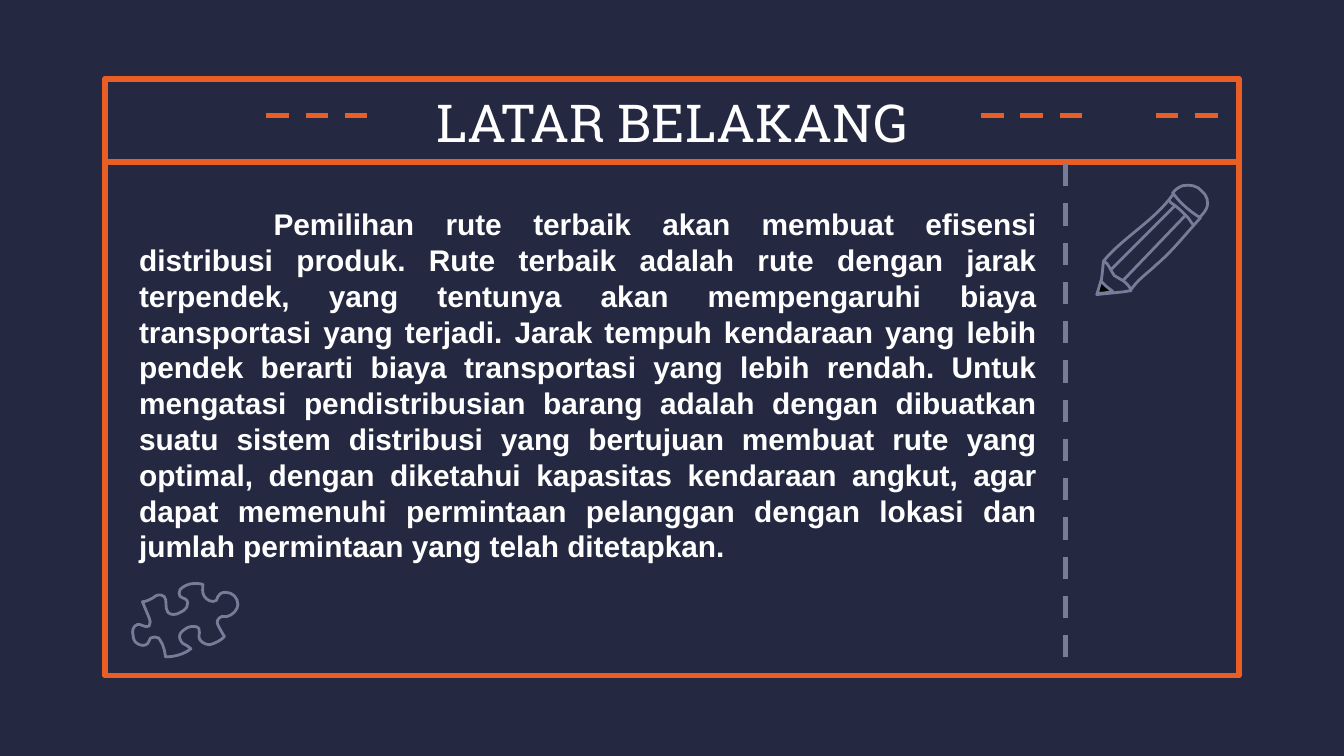
from dataclasses import dataclass

from lxml.etree import Element, SubElement
from pptx import Presentation
from pptx.dml.color import RGBColor
from pptx.enum.dml import MSO_LINE
from pptx.enum.shapes import MSO_CONNECTOR, MSO_SHAPE
from pptx.enum.text import MSO_ANCHOR, PP_ALIGN
from pptx.oxml.ns import qn
from pptx.util import Cm, Pt


@dataclass(frozen=True)
class Theme:
    background: RGBColor = RGBColor(0x24, 0x28, 0x41)
    accent: RGBColor = RGBColor(0xE9, 0x5E, 0x24)
    muted: RGBColor = RGBColor(0x77, 0x7D, 0x99)
    text: RGBColor = RGBColor(0xFF, 0xFF, 0xFF)
    lead: RGBColor = RGBColor(0, 0, 0)
    title_font: str = "Roboto Slab"
    body_font: str = "Arial"
    title_size: Pt = Pt(28)
    body_size: Pt = Pt(16)
    rule_width: Pt = Pt(3)
    icon_width: Pt = Pt(1.5)


ICON_UNIT = Cm(2.54) / 100  # icon outlines are drawn on this grid


def bend(outline, start, segments):
    """Turn the straight segments that have control points into cubic curves."""
    anchors = [start] + [segment[-2:] for segment in segments]
    left, top = (min(values) for values in zip(*anchors))
    straight_lines = list(outline._element.iter(qn("a:lnTo")))
    for line, segment in zip(straight_lines, segments):
        if len(segment) == 6:
            line.tag = qn("a:cubicBezTo")
            for place in (0, 1):
                x, y = segment[2 * place:2 * place + 2]
                line.insert(place, Element(qn("a:pt"), x=str(x - left), y=str(y - top)))


class SlideBuilder:
    def __init__(self, slide, theme):
        self.slide, self.theme = slide, theme
        slide.background.fill.solid()
        slide.background.fill.fore_color.rgb = theme.background

    def stroke(self, shape, color, width):
        shape.line.color.rgb = color
        shape.line.width = width
        SubElement(shape.line._get_or_add_ln(), qn("a:round"))

    def frame(self, left, top, width, height):
        box = self.slide.shapes.add_shape(
            MSO_SHAPE.RECTANGLE, Cm(left), Cm(top), Cm(width), Cm(height))
        box.shadow.inherit = False
        box.fill.background()
        self.stroke(box, self.theme.accent, self.theme.rule_width)

    def rule(self, x1, y1, x2, y2, color, dashed=True):
        line = self.slide.shapes.add_connector(
            MSO_CONNECTOR.STRAIGHT, Cm(x1), Cm(y1), Cm(x2), Cm(y2))
        self.stroke(line, color, self.theme.rule_width)
        if dashed:
            line.line.dash_style = MSO_LINE.DASH
        SubElement(line._element.spPr, qn("a:effectLst"))

    def text(self, words, left, top, width, height, font, size, align,
             bold=False, indent=0):
        box = self.slide.shapes.add_textbox(Cm(left), Cm(top), Cm(width), Cm(height))
        frame = box.text_frame
        frame.word_wrap = True
        frame.vertical_anchor = MSO_ANCHOR.MIDDLE
        frame.margin_left = frame.margin_right = Cm(0.25)
        frame.margin_top = frame.margin_bottom = Cm(0.25)
        frame.text = words
        paragraph = frame.paragraphs[0]
        paragraph.alignment = align
        if indent:
            paragraph._p.get_or_add_pPr().set("indent", str(Cm(indent)))
        style = paragraph.runs[0].font
        style.name, style.size, style.bold = font, size, bold
        style.color.rgb = self.theme.text

    def icon(self, left, top, outlines):
        for start, segments, closed, fill in outlines:
            builder = self.slide.shapes.build_freeform(*start, scale=ICON_UNIT)
            builder.add_line_segments([segment[-2:] for segment in segments], close=closed)
            outline = builder.convert_to_shape(Cm(left), Cm(top))
            bend(outline, start, segments)
            outline.shadow.inherit = False
            if fill is None:
                outline.fill.background()
            else:
                outline.fill.solid()
                outline.fill.fore_color.rgb = fill
            self.stroke(outline, self.theme.muted, self.theme.icon_width)


theme = Theme()

# Each outline: start, segments (x, y) or (x1, y1, x2, y2, x, y), closed, fill
PENCIL = [
    # Body
    ((5, 56), [(20, 38, 43, 26, 57, 6), (62, 13, 69, 19, 77, 24),
               (66, 36, 56, 49, 44, 59), (38, 65, 30, 70, 25, 78),
               (25, 75, 22, 73, 20, 71), (18, 70, 15, 68, 13, 67),
               (10, 63, 9, 58, 5, 56)], True, None),
    # Ring and long edges
    ((54, 11), [(54, 12, 55, 13, 57, 14), (60, 16, 63, 19, 66, 22),
                (68, 24, 69, 25, 70, 27), (71, 28, 71, 29, 72, 29)], False, None),
    ((11, 62), [(58, 15)], False, None),
    ((20, 70), [(66, 22)], False, None),
    # Eraser
    ((56, 6), [(58, 3, 61, 1, 64, 0), (69, -1, 75, 0, 78, 4),
               (82, 7, 84, 13, 81, 18), (80, 20, 78, 22, 76, 24)], False, None),
    # Tip and lead
    ((5, 56), [(4, 64, 4, 73, 0, 81), (20, 79), (22, 79, 24, 78, 26, 78)], False, None),
    ((3, 71), [(2, 74, 1, 78, 0, 81), (2, 80, 3, 80, 4, 80), (7, 80, 9, 79, 12, 79),
               (10, 77, 8, 76, 7, 75), (6, 74, 5, 73, 3, 71)], True, theme.lead),
]
PUZZLE_PIECE = [
    ((69, 40), [
        (66, 43, 62, 45, 58, 46), (54, 46, 50, 43, 50, 40), (50, 38, 51, 36, 50, 34),
        (49, 32, 45, 32, 42, 33), (40, 34, 37, 36, 36, 38), (35, 40, 36, 43, 38, 45),
        (40, 46, 42, 47, 44, 49), (39, 53, 32, 55, 25, 55), (25, 52, 24, 49, 23, 46),
        (22, 44, 21, 42, 20, 41), (18, 40, 16, 40, 14, 41), (13, 42, 13, 44, 12, 45),
        (10, 47, 7, 47, 4, 45), (2, 44, 1, 41, 1, 39), (0, 36, 1, 32, 4, 31),
        (7, 30, 10, 34, 13, 32), (14, 30, 14, 28, 13, 26), (8, 14),
        (11, 14, 14, 12, 16, 11), (18, 9, 21, 8, 24, 10), (27, 13, 24, 18, 27, 22),
        (29, 24, 33, 24, 36, 22), (38, 21, 40, 20, 41, 18), (42, 16, 42, 13, 40, 12),
        (38, 11, 37, 11, 36, 10), (35, 9, 35, 7, 36, 5), (37, 4, 38, 3, 40, 2),
        (44, 0, 48, 0, 53, 1), (53, 4, 52, 7, 54, 10), (56, 13, 60, 15, 63, 13),
        (64, 11, 64, 9, 66, 8), (67, 7, 69, 7, 70, 7), (75, 7, 79, 11, 79, 16),
        (79, 20, 75, 24, 71, 25), (69, 25, 68, 25, 67, 25), (64, 26, 63, 29, 64, 31),
        (65, 33, 66, 35, 69, 40)], True, None),
]
BACKGROUND_TEXT = (
    "Pemilihan rute terbaik akan membuat efisensi distribusi produk. Rute terbaik "
    "adalah rute dengan jarak terpendek, yang tentunya akan mempengaruhi biaya "
    "transportasi yang terjadi. Jarak tempuh kendaraan yang lebih pendek berarti biaya "
    "transportasi yang lebih rendah. Untuk mengatasi pendistribusian barang adalah "
    "dengan dibuatkan suatu sistem distribusi yang bertujuan membuat rute yang optimal, "
    "dengan diketahui kapasitas kendaraan angkut, agar dapat memenuhi permintaan "
    "pelanggan dengan lokasi dan jumlah permintaan yang telah ditetapkan."
)


def main():
    deck = Presentation()
    deck.slide_width, deck.slide_height = Cm(25.4), Cm(14.29)
    page = SlideBuilder(deck.slides.add_slide(deck.slide_layouts[6]), theme)

    # Frame and title
    page.frame(1.98, 1.49, 21.44, 11.28)
    page.rule(2.03, 3.06, 23.37, 3.06, theme.accent, dashed=False)
    page.text("LATAR BELAKANG", 1.98, 1.5, 21.44, 1.6,
              theme.title_font, theme.title_size, PP_ALIGN.CENTER)

    # Body text beside the dashed divider
    page.rule(20.14, 3.1, 20.14, 12.73, theme.muted)
    page.text(BACKGROUND_TEXT, 2.38, 3.63, 17.47, 7.29, theme.body_font, theme.body_size,
              PP_ALIGN.JUSTIFY, bold=True, indent=2.54)

    # Icons
    page.icon(20.73, 3.51, PENCIL)
    page.icon(2.49, 11.02, PUZZLE_PIECE)

    # Dashes in the title bar
    for start, end in ((20.45, 18.39), (6.94, 4.88), (23.01, 21.77)):
        page.rule(start, 2.18, end, 2.18, theme.accent)

    deck.save("out.pptx")


if __name__ == "__main__":
    main()
